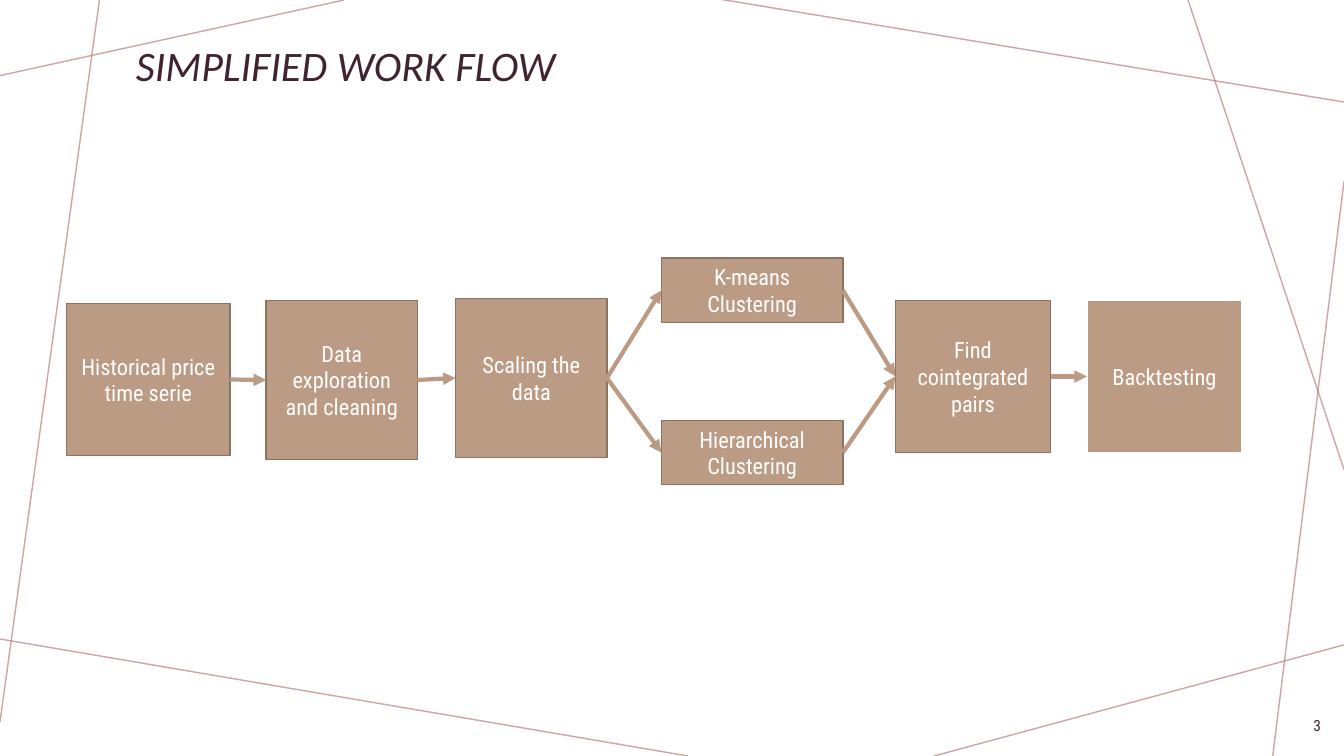
"""Build the simplified work flow slide."""
from dataclasses import dataclass

from lxml import etree
from pptx import Presentation
from pptx.dml.color import RGBColor
from pptx.enum.shapes import MSO_CONNECTOR, MSO_SHAPE
from pptx.enum.text import MSO_ANCHOR, PP_ALIGN
from pptx.oxml.ns import qn
from pptx.util import Inches, Pt

STRAIGHT, RECT = MSO_CONNECTOR.STRAIGHT, MSO_SHAPE.RECTANGLE
MIDDLE = MSO_ANCHOR.MIDDLE
LEFT, CENTER, RIGHT = PP_ALIGN.LEFT, PP_ALIGN.CENTER, PP_ALIGN.RIGHT
LEFT_SIDE, RIGHT_SIDE = 1, 3
WIDE, HIGH = 13.33, 7.5


@dataclass(frozen=True)
class Theme:
    """Colours, fonts and sizes of the slide."""
    ink: str = "412431"
    white: str = "FFFFFF"
    fill: str = "BC9B84"
    edge: str = "8B7362"
    frame: str = "BA7F80"
    head: str = "Calibri"
    body: str = "Roboto Condensed"
    title: int = 30
    label: int = 16
    number: int = 11
    thin: int = 1
    thick: int = 3
    alpha: int = 70


THEME = Theme()

TITLE = ("SIMPLIFIED WORK FLOW", (1.25, -0.08, 10.83, 1.51))
NUMBER = ("3", (12.69, 7, 0.51, 0.4))

COLS = {
    "source": (0.66, 1.62),
    "clean": (2.64, 1.5),
    "scale": (4.52, 1.5),
    "cluster": (6.56, 1.8),
    "find": (8.88, 1.54),
    "test": (10.78, 1.54),
}
ROWS = {
    "first": (3.01, 1.51),
    "second": (2.98, 1.58),
    "third": (2.96, 1.58),
    "upper": (2.56, 0.64),
    "lower": (4.17, 0.64),
    "last": (2.98, 1.51),
}
STEPS = {
    "source": ("Historical price time serie", "source", "first", THEME.edge),
    "clean": ("Data exploration and cleaning", "clean", "second", THEME.edge),
    "scale": ("Scaling the data", "scale", "third", THEME.edge),
    "means": ("K-means Clustering", "cluster", "upper", THEME.edge),
    "tree": ("Hierarchical Clustering", "cluster", "lower", THEME.edge),
    "find": ("Find cointegrated pairs", "find", "last", THEME.edge),
    "test": ("Backtesting", "test", "last", THEME.white),
}
FLOW = [
    ("source", "clean"), ("clean", "scale"),
    ("scale", "means"), ("scale", "tree"),
    ("means", "find"), ("tree", "find"), ("find", "test"),
]
FRAME_SHARES = [
    (25.6, 0, 0, 10), (7.4, 0, 0, 95.5), (51.2, 100, -0.4, 84.4),
    (100, 85.3, 69.5, 100), (100, 24, 94.7, 100),
    (100, 62.1, 88.4, 0), (100, 13.5, 53.6, -0.1),
]


def color(code):
    """Turn a hex code into a colour."""
    return RGBColor.from_string(code)


def write(shape, text, size, font, ink, align):
    """Put one run of text into a shape."""
    frame = shape.text_frame
    frame.word_wrap = True
    frame.vertical_anchor = MIDDLE
    para = frame.paragraphs[0]
    para.alignment = align
    run = para.add_run()
    run.text = text
    run.font.size = Pt(size)
    run.font.name = font
    run.font.color.rgb = color(ink)
    return para, run


def add_label(slide, item, size, font, align):
    """Add a text box holding one line of text."""
    text, place = item
    box = slide.shapes.add_textbox(*map(Inches, place))
    return write(box, text, size, font, THEME.ink, align)


def add_line(slide, ends, ink, width):
    """Add a straight line without a shadow."""
    line = slide.shapes.add_connector(STRAIGHT, *map(Inches, ends))
    line.line.color.rgb = color(ink)
    line.line.width = Pt(width)
    props = line._element.spPr
    etree.SubElement(props, qn("a:effectLst"))
    return line, props.find(qn("a:ln"))


def add_frame(slide):
    """Draw the crossing lines around the slide."""
    for left, top, right, low in FRAME_SHARES:
        ends = (left * WIDE / 100, top * HIGH / 100,
                right * WIDE / 100, low * HIGH / 100)
        _, stroke = add_line(slide, ends, THEME.frame, THEME.thin)
        tint = stroke.find(".//" + qn("a:srgbClr"))
        etree.SubElement(tint, qn("a:alpha"), val=str(THEME.alpha * 1000))


def add_step(slide, text, col, row, edge):
    """Draw one step of the flow."""
    left, width = COLS[col]
    top, height = ROWS[row]
    box = slide.shapes.add_shape(
        RECT, *map(Inches, (left, top, width, height)))
    box.shadow.inherit = False
    box.fill.solid()
    box.fill.fore_color.rgb = color(THEME.fill)
    box.line.color.rgb = color(edge)
    box.line.width = Pt(THEME.thin)
    write(box, text, THEME.label, THEME.body, THEME.white, CENTER)
    return box


def add_arrow(slide, start, end):
    """Join two steps with an arrow."""
    line, stroke = add_line(slide, (0, 0, 0, 0), THEME.fill, THEME.thick)
    line.begin_connect(start, RIGHT_SIDE)
    line.end_connect(end, LEFT_SIDE)
    etree.SubElement(stroke, qn("a:tailEnd"), type="triangle")


def main():
    """Build and save the slide."""
    deck = Presentation()
    deck.slide_width, deck.slide_height = Inches(WIDE), Inches(HIGH)
    slide = deck.slides.add_slide(deck.slide_layouts[6])
    add_frame(slide)
    para, run = add_label(slide, TITLE, THEME.title, THEME.head, LEFT)
    para.line_spacing = 0.9
    run.font.italic = True
    boxes = {key: add_step(slide, *step) for key, step in STEPS.items()}
    for start, end in FLOW:
        add_arrow(slide, boxes[start], boxes[end])
    add_label(slide, NUMBER, THEME.number, THEME.body, RIGHT)
    deck.save("out.pptx")


if __name__ == "__main__":
    main()
